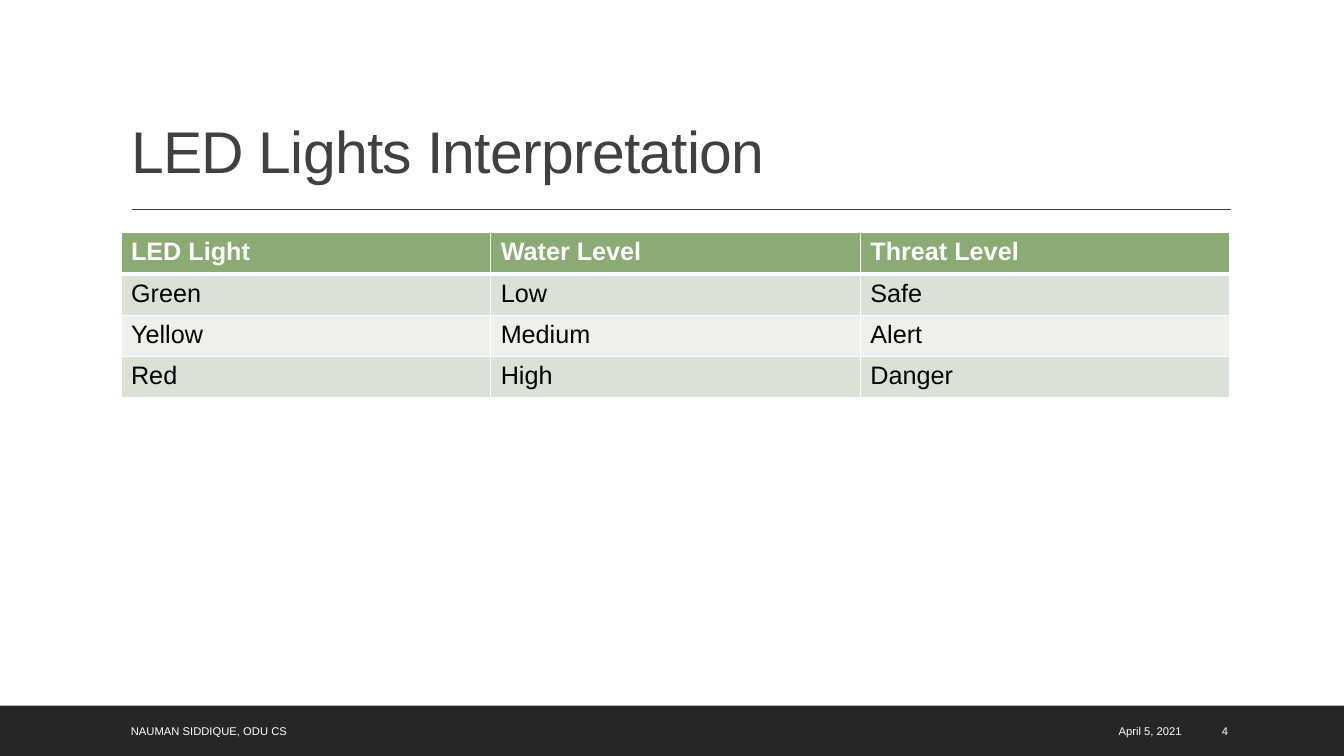
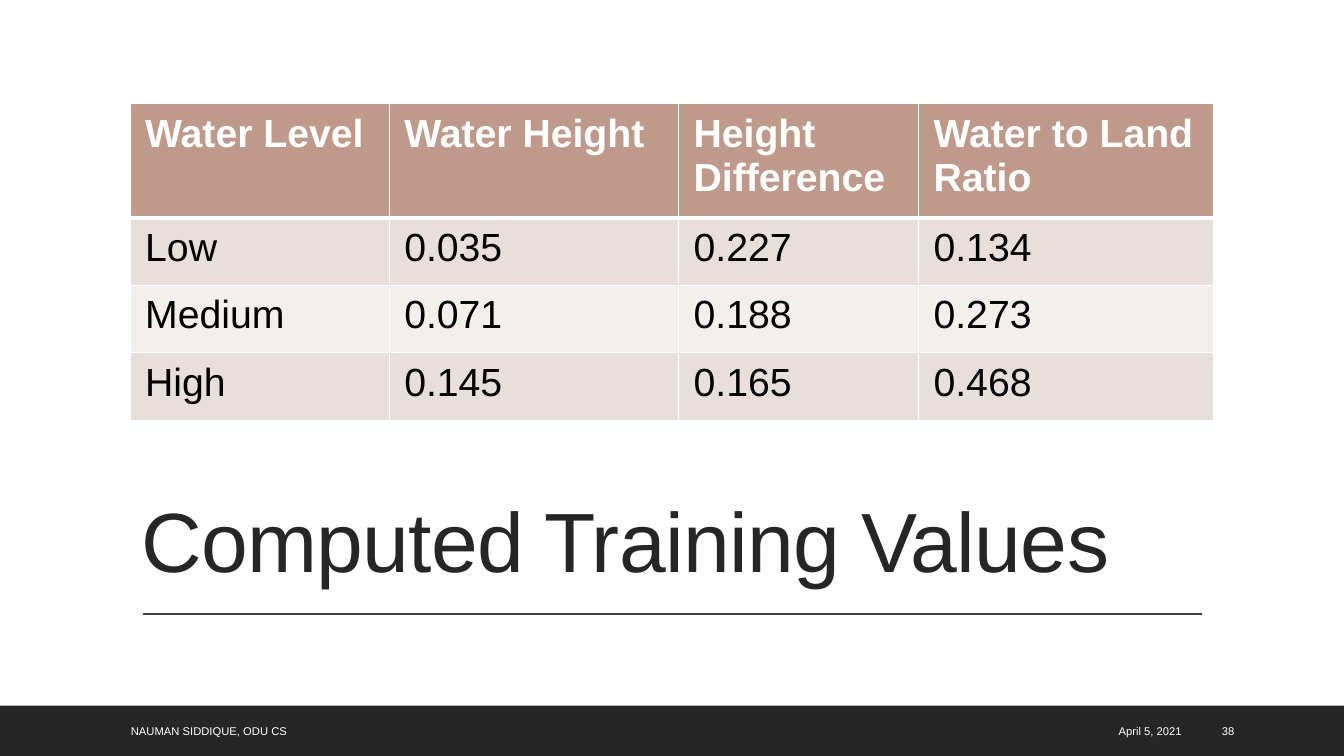
from lxml import etree
from pptx import Presentation, util as u
from pptx.dml.color import RGBColor
from pptx.enum import shapes, text
from pptx.oxml.ns import qn

# Shared style
WHITE = RGBColor(0xFF, 0xFF, 0xFF)
BLACK = RGBColor(0, 0, 0)
DARK = RGBColor(0x26, 0x26, 0x26)
GRAY = RGBColor(0x40, 0x40, 0x40)
GREEN = [RGBColor.from_string(c) for c in ("8CAA74", "DAE2D6", "EEF1EB")]
ROSE = [RGBColor.from_string(c) for c in ("BF9989", "E8DEDA", "F4EFED")]
FONT = "Arial"
WIDE, HIGH = 13.33, 7.5
BAND = 0.5

# Content
AUTHOR = "NAUMAN SIDDIQUE, ODU CS"
DATE = "April 5, 2021"
SLIDES = [
    dict(
        title="LED Lights Interpretation", box=(1.2, 0.31, 11, 1.59),
        size=42, color=GRAY, rule=(1.31, 12.21, 2.08), number="4",
        rows=[("LED Light", "Water Level", "Threat Level"),
              ("Green", "Low", "Safe"),
              ("Yellow", "Medium", "Alert"),
              ("Red", "High", "Danger")],
        spot=(1.2, 2.31), cols=[11 / 3] * 3, heights=[0.41] * 4,
        points=18, inset=(0.1, 0.05), tones=GREEN),
    dict(
        title="Computed Training Values", box=(1.3, 4.78, 10.74, 1.13),
        size=60, color=DARK, rule=(1.42, 11.92, 6.09), number="38",
        rows=[("Water Level", "Water Height", "Height Difference",
               "Water to Land Ratio"),
              ("Low", "0.035", "0.227", "0.134"),
              ("Medium", "0.071", "0.188", "0.273"),
              ("High", "0.145", "0.165", "0.468")],
        spot=(1.29, 1.03), cols=[2.57, 2.87, 2.38, 2.93],
        heights=[1.13] + [0.67] * 3,
        points=28, inset=(0.15, 0.08), tones=ROSE),
]


def inches(*vals):
    return [u.Inches(v) for v in vals]


def style(par, size, color, bold=False):
    font = par.runs[0].font
    font.name, font.size, font.bold = FONT, u.Pt(size), bold
    font.color.rgb = color


def add_title(slide, item):
    shape = slide.shapes.title
    shape.left, shape.top, shape.width, shape.height = inches(*item["box"])
    frame = shape.text_frame
    frame.text = item["title"]
    frame.auto_size = text.MSO_AUTO_SIZE.NONE
    frame.vertical_anchor = text.MSO_ANCHOR.BOTTOM
    par = frame.paragraphs[0]
    par.alignment = text.PP_ALIGN.LEFT
    par.line_spacing = 0.9
    style(par, item["size"], item["color"])
    par.runs[0].font._element.set("spc", "-50")


def add_rule(slide, left, right, y):
    line = slide.shapes.add_connector(
        shapes.MSO_CONNECTOR.STRAIGHT, *inches(left, y, right, y))
    line.line.color.rgb = GRAY
    line.line.width = u.Pt(1)
    etree.SubElement(line._element.spPr, qn("a:effectLst"))


def add_note(slide, words, left, width, align):
    box = slide.shapes.add_textbox(*inches(left, HIGH - 0.45, width, 0.4))
    frame = box.text_frame
    frame.word_wrap = True
    frame.vertical_anchor = text.MSO_ANCHOR.MIDDLE
    frame.text = words
    frame.paragraphs[0].alignment = align
    style(frame.paragraphs[0], 8, WHITE)


def add_footer(slide, number):
    band = slide.shapes.add_shape(
        shapes.MSO_SHAPE.RECTANGLE, *inches(0, HIGH - BAND, WIDE, BAND))
    band.shadow.inherit = False
    band.fill.solid()
    band.fill.fore_color.rgb = DARK
    band.line.fill.background()
    side = text.PP_ALIGN
    add_note(slide, DATE, 8.99, 2.83, side.RIGHT)
    add_note(slide, AUTHOR, 1.2, 7.46, side.LEFT)
    add_note(slide, number, 12.02, 0.85, side.LEFT)


def add_edges(cell, row):
    # The line below the header is thicker than the others
    widths = dict(lnL=1, lnR=1, lnT=3 if row == 1 else 1,
                  lnB=3 if row == 0 else 1)
    props = cell._tc.get_or_add_tcPr()
    for tag, width in widths.items():
        edge = etree.SubElement(props, qn("a:" + tag), w=str(u.Pt(width)))
        fill = etree.SubElement(edge, qn("a:solidFill"))
        etree.SubElement(fill, qn("a:srgbClr"), val=str(WHITE))


def add_grid(slide, item):
    rows, cols, heights = item["rows"], item["cols"], item["heights"]
    grid = slide.shapes.add_table(
        len(rows), len(cols),
        *inches(*item["spot"], sum(cols), sum(heights))).table
    for col, width in zip(grid.columns, cols):
        col.width = u.Inches(width)
    head, odd, even = item["tones"]
    side, edge = inches(*item["inset"])
    for r, words in enumerate(rows):
        grid.rows[r].height = u.Inches(heights[r])
        tone = head if r == 0 else odd if r % 2 else even
        for c, word in enumerate(words):
            cell = grid.cell(r, c)
            cell.text = word
            cell.margin_left = cell.margin_right = side
            cell.margin_top = cell.margin_bottom = edge
            style(cell.text_frame.paragraphs[0], item["points"],
                  BLACK if r else WHITE, r == 0)
            add_edges(cell, r)
            cell.fill.solid()
            cell.fill.fore_color.rgb = tone


def main():
    deck = Presentation()
    deck.slide_width, deck.slide_height = inches(WIDE, HIGH)
    for item in SLIDES:
        slide = deck.slides.add_slide(deck.slide_layouts[5])
        add_title(slide, item)
        add_rule(slide, *item["rule"])
        add_grid(slide, item)
        add_footer(slide, item["number"])
    deck.save("out.pptx")


if __name__ == "__main__":
    main()
